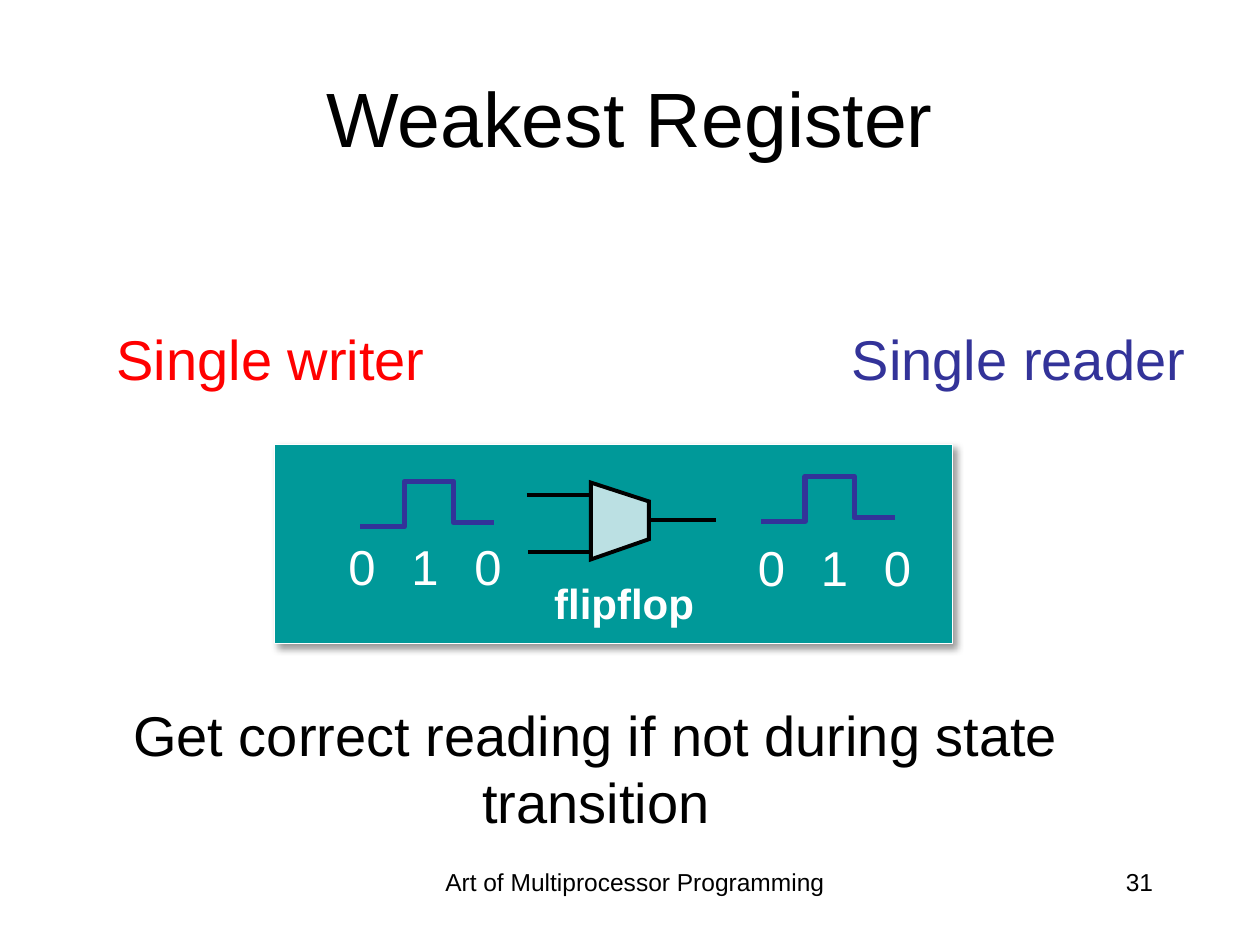
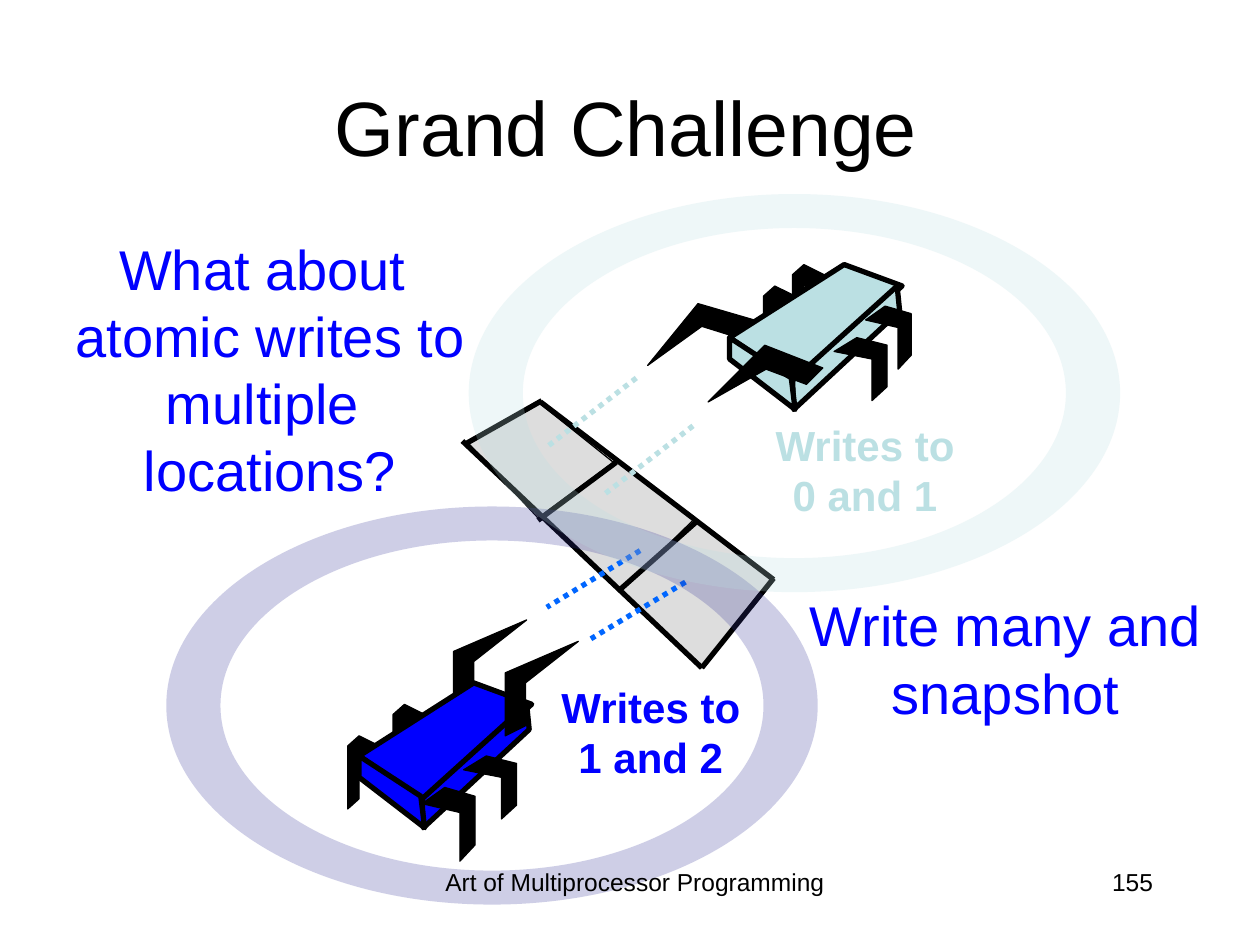
import pptx
import pptx.dml.color
import pptx.enum.dml
import pptx.enum.shapes
import pptx.enum.text
import pptx.util
from lxml import etree
from pptx.oxml.ns import qn

Inches = pptx.util.Inches
Pt = pptx.util.Pt
ALIGN = {"l": pptx.enum.text.PP_ALIGN.LEFT,
         "c": pptx.enum.text.PP_ALIGN.CENTER,
         "r": pptx.enum.text.PP_ALIGN.RIGHT}

FONT = "Arial"
BLACK, WHITE, RED = "000000", "FFFFFF", "FF0000"
TEAL, INDIGO, PALE, BLUE = "009999", "333399", "BBE0E3", "0000FF"
GREY, BEAM_BLUE = "DDDDDD", "0066FF"
FOOTER = "Art of Multiprocessor Programming"

# Weakest Register: boxes are left, top, width, height
REGISTER_BOX = (2.18, 3.53, 5.38, 1.58)
REGISTER_TEXTS = [
    ("Single reader", (6.17, 2.53, 3.83, 0.63), INDIGO),
    ("Single writer", (0.44, 2.53, 3.42, 0.63), RED),
    ("Get correct reading if not during state transition",
     (0.67, 5.51, 8.12, 1.17), BLACK),
]
GATE = [(4.69, 4.44), (5.15, 4.28), (5.15, 3.98), (4.69, 3.83)]
WIRES = [((4.18, 3.93), (4.69, 3.93)), ((4.19, 4.38), (4.71, 4.38)),
         ((5.17, 4.13), (5.68, 4.13))]
PULSE = [(0, 0.36), (0.35, 0.36), (0.35, 0), (0.74, 0), (0.74, 0.33), (1.06, 0.33)]
SIGNALS = [  # place of the pulse, place of its digits
    ((2.86, 3.82), (2.58, 4.21)),
    ((6.04, 3.78), (5.83, 4.22)),
]

# Grand Challenge
CELLS = [
    [(5.51, 4.11), (4.9, 4.68), (5.57, 5.3), (6.14, 4.6)],
    [(4.29, 4.08), (4.92, 4.7), (5.52, 4.11), (4.89, 3.65)],
    [(4.27, 3.19), (3.71, 3.51), (4.27, 4.11), (4.87, 3.67)],
]
CELL_EDGES = [
    ((3.67, 3.5), (5.57, 5.3)), ((4.29, 3.19), (6.14, 4.6)),
    ((3.7, 3.52), (4.3, 3.18)), ((5.57, 5.3), (6.14, 4.59)),
    ((4.92, 4.68), (5.54, 4.13)), ((4.27, 4.13), (4.89, 3.67)),
]
BEAMS = [
    ((5.05, 3), (4.35, 3.54), PALE), ((5.5, 3.38), (4.8, 3.92), PALE),
    ((5.08, 4.37), (4.34, 4.82), BEAM_BLUE), ((5.44, 4.62), (4.69, 5.07), BEAM_BLUE),
]
BODY = [  # top, side and front of a robot
    [(0.91, 0), (0, 0.58), (0.51, 0.93), (1.37, 0.17)],
    [(1.33, 0.17), (0.5, 0.92), (0.51, 1.15), (1.35, 0.37)],
    [(0, 0.58), (0, 0.75), (0.52, 1.15), (0.49, 0.9)],
]
HIND_LEG = [(0.25, 0.08), (0.09, 0), (0, 0.08), (0, 0.58), (0.09, 0.5),
            (0.09, 0.16), (0.25, 0.25)]
FRONT_LEG = [(0.18, 0), (0, 0.11), (0.3, 0.17), (0.3, 0.5), (0.42, 0.39), (0.42, 0.06)]
CLAW = [(0, 0.75), (0.16, 0.67), (0.16, 0.33), (0.58, 0), (0, 0.25)]
LEFT_CLAW_FAR = [(0.88, 0.14), (0.75, 0.28), (0.43, 0.18), (0, 0.49), (0.4, 0)]
LEFT_CLAW_NEAR = [(0.91, 0.18), (0.78, 0.31), (0.46, 0.19), (0, 0.45), (0.45, 0)]
ROBOTS = [  # front legs: place, then horizontal and vertical scale
    dict(color=BLUE, body=(2.85, 5.42),
         far_claw=(CLAW, (3.6, 4.92)), near_claw=(CLAW, (4.01, 5.09)),
         hind=[(2.76, 5.84), (3.12, 5.59)],
         front=[((3.35, 6.25), (1, 1.17)), ((3.68, 6), (1, 1))]),
    dict(color=PALE, body=(5.79, 2.1),
         far_claw=(LEFT_CLAW_FAR, (5.14, 2.41)), near_claw=(LEFT_CLAW_NEAR, (5.62, 2.74)),
         hind=[(6.29, 2.1), (6.06, 2.27)],
         front=[((6.87, 2.43), (0.86, 1)), ((6.62, 2.68), (1, 1))]),
]
ROBOT_LABELS = [("Writes to 0 and 1", (5.94, 3.28, 1.85, 0.91), PALE),
                ("Writes to 1 and 2", (4.24, 5.36, 1.85, 0.91), BLUE)]
RINGS = [((1.32, 4.02), INDIGO), ((3.72, 1.54), PALE)]
RING_SIZE, RING_HOLE, RING_ALPHA = (5.17, 3.16), (4.31, 2.62), 24
QUESTIONS = [
    (["What about ", "atomic writes to multiple ", "locations?"], (0.23, 1.81, 3.83, 2.26)),
    (["Write many and", "snapshot"], (5.96, 4.64, 4.04, 1.17)),
]


def rgb(color):
    return pptx.dml.color.RGBColor.from_string(color)


def place(sp, box):
    sp.left, sp.top, sp.width, sp.height = map(Inches, box)


def write(sp, text, size=32, color=BLACK, bold=False, align="c", before=0,
          spacing=None, wrap=True, middle=False):
    """Fill a shape with one paragraph, or one for each string of a list."""
    tf = sp.text_frame
    tf.word_wrap = wrap
    tf.auto_size = pptx.enum.text.MSO_AUTO_SIZE.NONE
    anchor = pptx.enum.text.MSO_ANCHOR
    tf.vertical_anchor = anchor.MIDDLE if middle else anchor.TOP
    for i, line in enumerate([text] if isinstance(text, str) else text):
        p = tf.add_paragraph() if i else tf.paragraphs[0]
        p.alignment = ALIGN[align]
        p.space_before = Pt(before)
        if spacing:
            p.line_spacing = spacing
        r = p.add_run()
        r.text = line
        r.font.name, r.font.size, r.font.bold = FONT, Pt(size), bold
        r.font.color.rgb = rgb(color)


def add_text(s, text, box, **fmt):
    sp = s.shapes.add_textbox(*map(Inches, box))
    write(sp, text, **fmt)


def paint(sp, fill=None, line=None, width=0.75, alpha=None, miter=False):
    sp.shadow.inherit = False
    if fill:
        sp.fill.solid()
        sp.fill.fore_color.rgb = rgb(fill)
        if alpha:
            clr = sp._element.spPr.find(qn("a:solidFill")).find(qn("a:srgbClr"))
            etree.SubElement(clr, qn("a:alpha"), val=str(alpha * 1000))
    else:
        sp.fill.background()
    if line:
        sp.line.color.rgb = rgb(line)
        sp.line.width = Pt(width)
        if miter:
            ln = sp._element.spPr.find(qn("a:ln"))
            etree.SubElement(ln, qn("a:miter"), lim="800000")
    else:
        sp.line.fill.background()


def add_free(s, points, at=(0, 0), scale=(1, 1), close=True, **look):
    """Draw an outline whose points are scaled, then moved to a place."""
    moved = [tuple(Inches(o + k * v) for o, k, v in zip(at, scale, pt)) for pt in points]
    fb = s.shapes.build_freeform(*moved[0], scale=1.0)
    fb.add_line_segments(moved[1:], close=close)
    paint(fb.convert_to_shape(), **look)


def add_line(s, start, end, color=BLACK, width=3.0, dotted=False):
    ln = s.shapes.add_connector(pptx.enum.shapes.MSO_CONNECTOR.STRAIGHT,
                                *map(Inches, start + end))
    ln.line.color.rgb = rgb(color)
    ln.line.width = Pt(width)
    if dotted:
        ln.line.dash_style = pptx.enum.dml.MSO_LINE.ROUND_DOT
    etree.SubElement(ln._element.spPr, qn("a:effectLst"))


def add_drop_shadow(sp):
    effects = sp._element.spPr.find(qn("a:effectLst"))
    shadow = etree.SubElement(effects, qn("a:outerShdw"), blurRad=str(Pt(4)),
                              dist=str(Pt(3)), dir="2700000", algn="tl", rotWithShape="0")
    clr = etree.SubElement(shadow, qn("a:srgbClr"), val=BLACK)
    etree.SubElement(clr, qn("a:alpha"), val="40000")


def add_ellipse_curves(outline, size, turn):
    """Add four curves round the ring's centre; turn is 1 or -1 for the direction."""
    k = 0.5523  # handle length of a quarter circle
    quarter = [(-1, -k), (-k, -1), (0, -1)]
    curves = [[(-1, 0)]]
    for _ in range(4):
        curves.append(quarter)
        quarter = [(-y, x) for x, y in quarter]
    for i, curve in enumerate(curves):
        step = etree.SubElement(outline, qn("a:cubicBezTo" if i else "a:moveTo"))
        for x, y in curve:
            etree.SubElement(step, qn("a:pt"),
                             x=str(Inches((RING_SIZE[0] + x * size[0]) / 2)),
                             y=str(Inches((RING_SIZE[1] + turn * y * size[1]) / 2)))
    etree.SubElement(outline, qn("a:close"))


def add_ring(s, at, color):
    """Draw an elliptic ring, whose band is wider at the sides than at the top."""
    fb = s.shapes.build_freeform(*map(Inches, at), scale=1.0)
    fb.add_line_segments([tuple(Inches(a + b) for a, b in zip(at, RING_SIZE))])
    sp = fb.convert_to_shape()
    outline = next(sp._element.spPr.iter(qn("a:path")))
    for step in list(outline):
        outline.remove(step)
    add_ellipse_curves(outline, RING_SIZE, 1)
    add_ellipse_curves(outline, RING_HOLE, -1)
    paint(sp, fill=color, alpha=RING_ALPHA)


def add_robot(s, robot):
    limb = dict(fill=BLACK, line=BLACK)
    claw, at = robot["far_claw"]
    add_free(s, claw, at=at, **limb)
    for at in robot["hind"]:
        add_free(s, HIND_LEG, at=at, **limb)
    for face in BODY:
        add_free(s, face, at=robot["body"], fill=robot["color"], line=BLACK, width=3)
    for at, scale in robot["front"]:
        add_free(s, FRONT_LEG, at=at, scale=scale, **limb)
    claw, at = robot["near_claw"]
    add_free(s, claw, at=at, **limb)


def start_slide(prs, title, title_box, number):
    s = prs.slides.add_slide(prs.slide_layouts[5])
    place(s.shapes.title, title_box)
    write(s.shapes.title, title, size=44, middle=True)
    add_text(s, number, (7.17, 6.83, 2.08, 0.5), size=14, align="r")
    return s


def add_footer(s):
    add_text(s, FOOTER, (3.33, 6.83, 3.42, 0.52), size=14)


def build_register(prs):
    s = start_slide(prs, "Weakest Register", (0.5, 0.3, 9, 1.25), "31")
    box = s.shapes.add_shape(pptx.enum.shapes.MSO_SHAPE.RECTANGLE,
                             *map(Inches, REGISTER_BOX))
    paint(box, fill=TEAL, line=WHITE)
    add_drop_shadow(box)
    for text, at, color in REGISTER_TEXTS:
        add_text(s, text, at, color=color)
    add_free(s, GATE, fill=PALE, line=BLACK, width=2.25, miter=True)
    for start, end in WIRES:
        add_line(s, start, end, width=2.25)
    add_text(s, "flipflop", (4.3, 4.61, 1.35, 0.42), size=24, color=WHITE, bold=True,
             align="l", before=3, spacing=0.8, wrap=False)
    for pulse_at, (x, y) in SIGNALS:
        add_free(s, PULSE, at=pulse_at, close=False, line=INDIGO, width=3)
        for i, digit in enumerate("010"):
            add_text(s, digit, (x + 0.5 * i, y, 0.5, 0.57), size=28, color=WHITE,
                     align="r", before=3)
    add_footer(s)


def build_challenge(prs):
    s = start_slide(prs, "Grand Challenge", (0.72, 0.37, 8.5, 1.25), "155")
    for cell in CELLS:
        add_free(s, cell, fill=GREY, line=BLACK)
    for robot in ROBOTS:
        add_robot(s, robot)
    for text, box, color in ROBOT_LABELS:
        add_text(s, text, box, size=24, color=color, bold=True, before=3)
    for start, end in CELL_EDGES:
        add_line(s, start, end)
    for start, end, color in BEAMS:
        add_line(s, start, end, color=color, dotted=True)
    for at, color in RINGS:
        add_ring(s, at, color)
    for lines, box in QUESTIONS:
        add_text(s, lines, box, color=BLUE)
    add_footer(s)


def main():
    prs = pptx.Presentation()
    prs.slide_width, prs.slide_height = Inches(10), Inches(7.5)
    build_register(prs)
    build_challenge(prs)
    prs.save("out.pptx")


if __name__ == "__main__":
    main()
